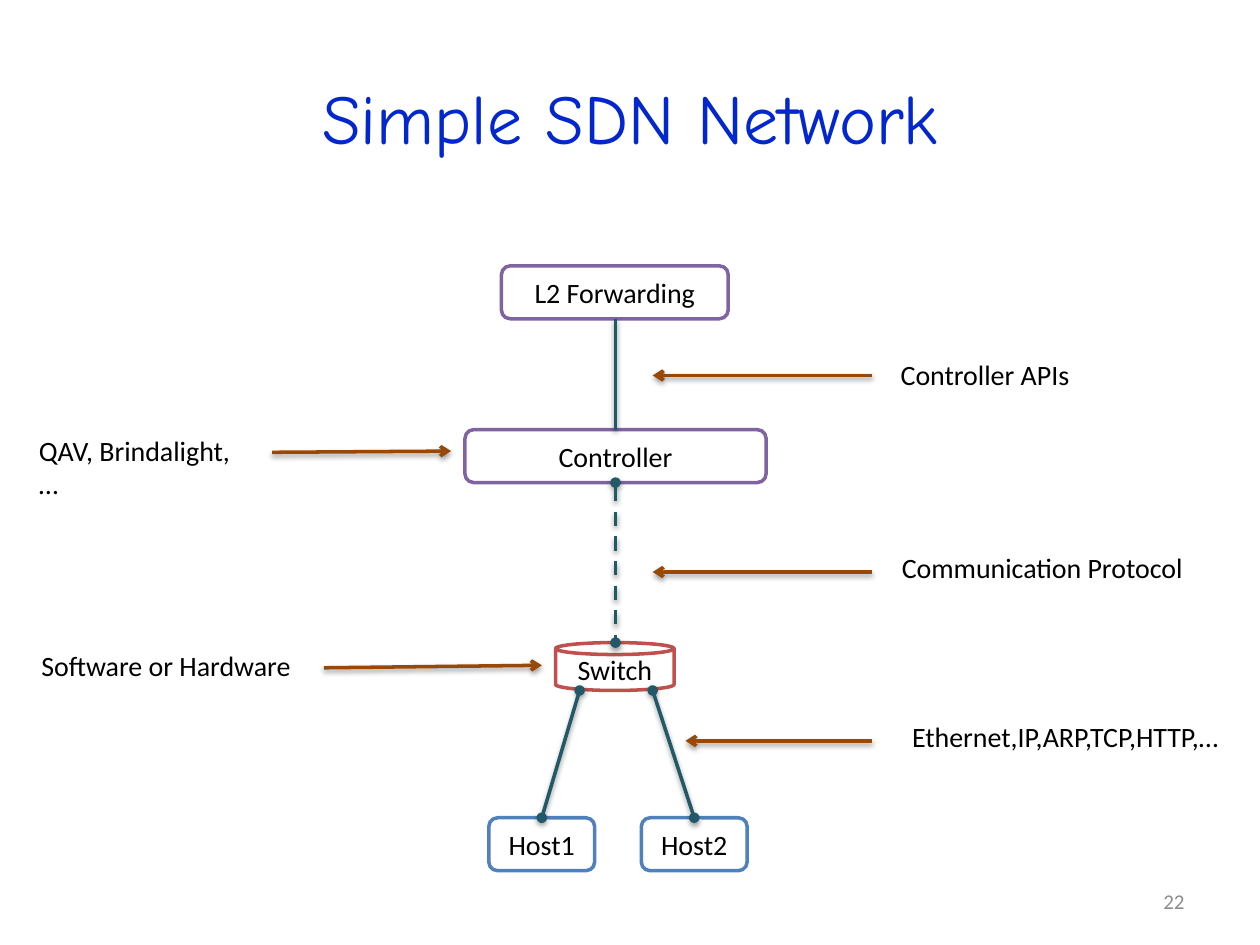
from lxml.etree import SubElement
from pptx import Presentation
from pptx.dml.color import RGBColor
from pptx.enum.dml import MSO_LINE
from pptx.enum.shapes import MSO_CONNECTOR, MSO_SHAPE
from pptx.enum.text import MSO_ANCHOR, PP_ALIGN
from pptx.oxml.ns import qn
from pptx.util import Inches, Pt

BLACK = RGBColor(0x00, 0x00, 0x00)
WHITE = RGBColor(0xFF, 0xFF, 0xFF)
TITLE_BLUE = RGBColor(0x02, 0x27, 0xCE)
HOST_BLUE = RGBColor(0x4F, 0x81, 0xBD)
SWITCH_RED = RGBColor(0xC0, 0x50, 0x4D)
CONTROL_PURPLE = RGBColor(0x80, 0x64, 0xA2)
LINK_TEAL = RGBColor(0x21, 0x59, 0x68)
ARROW_BROWN = RGBColor(0x98, 0x48, 0x07)
PAGE_GRAY = RGBColor(0x8C, 0x8C, 0x8C)


def write(frame, text, size=16, color=BLACK, font="Calibri",
          align=PP_ALIGN.LEFT, anchor=MSO_ANCHOR.TOP, wrap=True):
    frame.word_wrap = wrap
    frame.vertical_anchor = anchor
    paragraph = frame.paragraphs[0]
    paragraph.alignment = align
    run = paragraph.add_run()
    run.text = text
    run.font.size = Pt(size)
    run.font.name = font
    run.font.color.rgb = color


def add_label(slide, box, text, **style):
    label = slide.shapes.add_textbox(*map(Inches, box))
    write(label.text_frame, text, **style)


def add_node(slide, box, text, color, outline=MSO_SHAPE.ROUNDED_RECTANGLE):
    node = slide.shapes.add_shape(outline, *map(Inches, box))
    node.shadow.inherit = False
    node.fill.solid()
    node.fill.fore_color.rgb = WHITE
    node.line.color.rgb = color
    node.line.width = Pt(2)
    write(node.text_frame, text, align=PP_ALIGN.CENTER, anchor=MSO_ANCHOR.MIDDLE)


def add_line(slide, start, end, color, head=None, tail=None, dash=None):
    line = slide.shapes.add_connector(MSO_CONNECTOR.STRAIGHT, *map(Inches, start + end))
    line.line.color.rgb = color
    line.line.width = Pt(2)
    if dash:
        line.line.dash_style = dash
    properties = line._element.spPr
    stroke = properties.find(qn("a:ln"))
    for tag, ending in (("a:headEnd", head), ("a:tailEnd", tail)):
        if ending:
            SubElement(stroke, qn(tag), type=ending)
    effects = SubElement(properties, qn("a:effectLst"))
    shadow = SubElement(effects, qn("a:outerShdw"), blurRad=str(Pt(3.1)),
                        dist=str(Pt(1.6)), dir="5400000", rotWithShape="0")
    shade = SubElement(shadow, qn("a:srgbClr"), val=str(BLACK))
    SubElement(shade, qn("a:alpha"), val="38000")


def add_title(slide, box):
    add_label(slide, box, "Simple SDN Network", size=40, color=TITLE_BLUE,
              font="Comic Neue", align=PP_ALIGN.CENTER, anchor=MSO_ANCHOR.MIDDLE)


def add_network(slide, box):
    left, top, width, height = box
    node_height = 0.42
    host_width = 0.84
    controller_top = top + 1.3
    controller_bottom = controller_top + node_height
    switch_top, switch_bottom = top + 2.99, top + 3.37
    host_top = top + height - node_height
    center = left + width / 2

    add_node(slide, (left + 0.72, switch_top, 0.94, 0.38), "Switch", SWITCH_RED, MSO_SHAPE.CAN)
    hosts = (("Host1", left + 0.19, left + 0.91), ("Host2", left + 1.4, left + 1.49))
    for name, host_left, port in hosts:
        add_node(slide, (host_left, host_top, host_width, node_height), name, HOST_BLUE)
    add_node(slide, (left, controller_top, width, node_height), "Controller", CONTROL_PURPLE)
    add_node(slide, (left + 0.29, top, 1.8, node_height), "L2 Forwarding", CONTROL_PURPLE)

    add_line(slide, (center, top + node_height), (center, controller_top), LINK_TEAL)
    add_line(slide, (center, controller_bottom), (center, switch_top), LINK_TEAL,
             "oval", "oval", MSO_LINE.DASH)
    for name, host_left, port in hosts:
        add_line(slide, (port, switch_bottom), (host_left + host_width / 2, host_top),
                 LINK_TEAL, "oval", "oval")


def add_notes_right(slide, box):
    left, top, width, height = box
    notes = (
        ("Controller APIs", 0.13, 0, 1.56, 0.19, 1.74),
        ("Communication Protocol", 0.14, 1.53, 2.47, 1.75, 1.74),
        ("Ethernet,IP,ARP,TCP,HTTP,…", 0.22, 2.87, 2.81, 3.09, 1.48),
    )
    for text, indent, drop, label_width, arrow_drop, reach in notes:
        add_label(slide, (left + indent, top + drop, label_width, 0.37), text, wrap=False)
        add_line(slide, (left, top + arrow_drop), (left - reach, top + arrow_drop),
                 ARROW_BROWN, tail="arrow")


def add_notes_left(slide, box):
    left, top, width, height = box
    notes = (
        ("QAV, Brindalight, …", 0, 0, 1.88, (1.95, 0.2), (3.37, 0.19)),
        ("Software or Hardware", 0.02, 1.71, 2.22, (2.36, 1.91), (4.09, 1.89)),
    )
    for text, indent, drop, label_width, start, end in notes:
        add_label(slide, (left + indent, top + drop, label_width, 0.37), text, wrap=False)
        add_line(slide, (left + start[0], top + start[1]), (left + end[0], top + end[1]),
                 ARROW_BROWN, tail="arrow")


def add_page_number(slide, box):
    add_label(slide, box, "22", size=12, color=PAGE_GRAY,
              align=PP_ALIGN.RIGHT, anchor=MSO_ANCHOR.MIDDLE)


def main():
    deck = Presentation()
    deck.slide_width = Inches(10)
    deck.slide_height = Inches(7.5)
    slide = deck.slides.add_slide(deck.slide_layouts[6])
    add_title(slide, (0.5, 0.3, 9, 1.25))
    add_network(slide, (3.69, 2.11, 2.39, 4.8))
    add_notes_right(slide, (6.92, 2.79, 3.03, 3.24))
    add_notes_left(slide, (0.21, 3.39, 4.09, 2.08))
    add_page_number(slide, (7.17, 6.95, 2.33, 0.4))
    deck.save("out.pptx")


if __name__ == "__main__":
    main()
